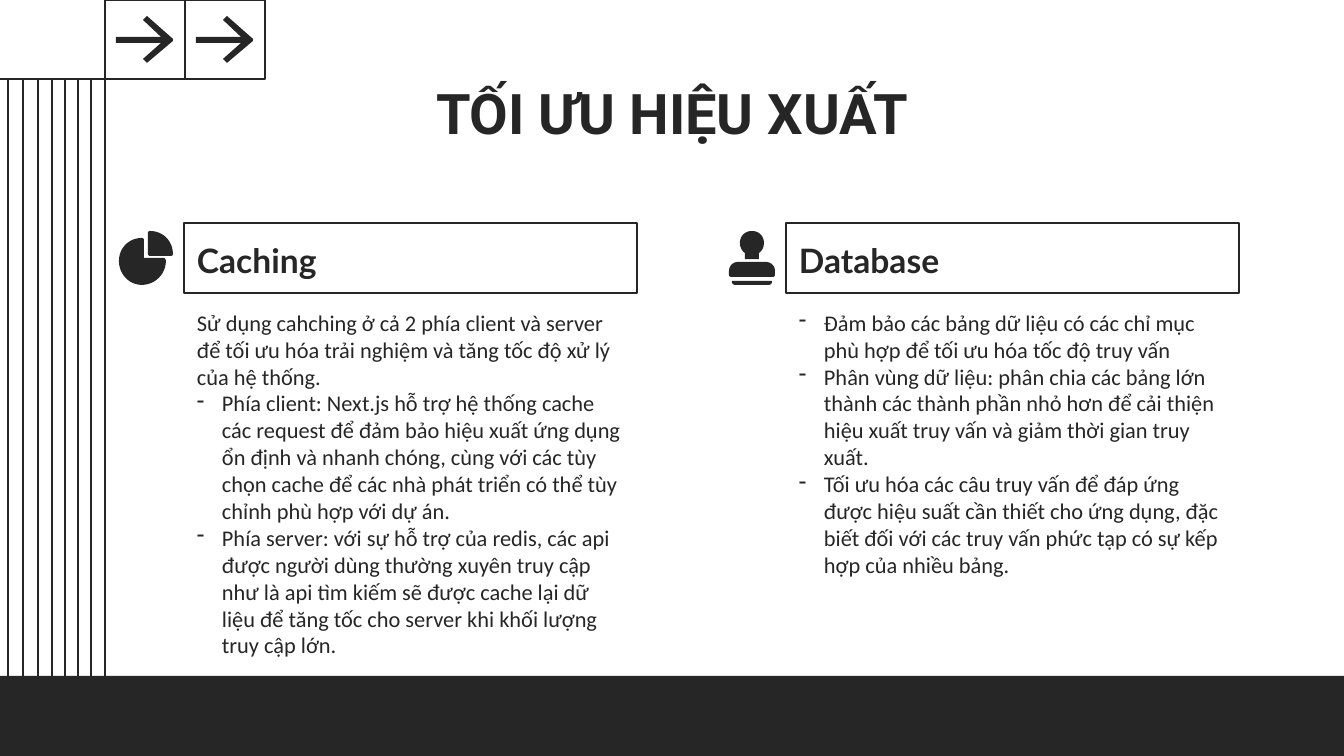
from dataclasses import dataclass

from lxml import etree
from pptx import Presentation
from pptx.dml.color import RGBColor
from pptx.enum.shapes import MSO_CONNECTOR, MSO_SHAPE
from pptx.enum.text import MSO_ANCHOR, PP_ALIGN
from pptx.oxml.ns import qn
from pptx.util import Pt

PX = 9144000 / 1344  # EMU in one px
RECT = MSO_SHAPE.RECTANGLE
STRAIGHT = MSO_CONNECTOR.STRAIGHT
LEFT, CENTER = PP_ALIGN.LEFT, PP_ALIGN.CENTER
TOP, BOTTOM = MSO_ANCHOR.TOP, MSO_ANCHOR.BOTTOM
INK = "262626"
WIDE, HIGH = 1344, 756
RULE_TOP, BAND_TOP = 79, 676
BOX = 80
PAD, INDENT = 13, 25


@dataclass
class Panel:
    left: int
    head: str
    intro: list[str]
    items: list[str]
    high: int
    icon: list[list[tuple]]


def emu(px: float) -> int:
    return round(px * PX)


def color(code: str) -> RGBColor:
    return RGBColor.from_string(code)


def add_text(shape, lines: list[str], *, size: int, font: str, bold=False,
             align=LEFT, anchor=TOP, plain=None) -> None:
    """Fill a shape; lines from index `plain` on get a dash."""
    frame = shape.text_frame
    frame.word_wrap = True
    frame.vertical_anchor = anchor
    frame.margin_left = frame.margin_right = emu(PAD)
    frame.margin_top = frame.margin_bottom = emu(PAD)
    for i, line in enumerate(lines):
        par = frame.paragraphs[0] if i == 0 else frame.add_paragraph()
        par.alignment = align
        if plain is not None and i >= plain:
            add_dash(par)
        run = par.add_run()
        run.text = line
        run.font.size = Pt(size)
        run.font.name = font
        run.font.bold = bold
        run.font.color.rgb = color(INK)


def add_dash(par) -> None:
    props = par._p.get_or_add_pPr()
    props.set("marL", str(emu(INDENT)))
    props.set("indent", str(-emu(INDENT)))
    tint = etree.SubElement(props, qn("a:buClr"))
    etree.SubElement(tint, qn("a:srgbClr")).set("val", INK)
    etree.SubElement(props, qn("a:buChar")).set("char", "-")


def add_rect(slide, x: int, y: int, w: int, h: int, fill: str | None = None):
    shape = slide.shapes.add_shape(RECT, emu(x), emu(y), emu(w), emu(h))
    shape.shadow.inherit = False
    if fill:
        shape.fill.solid()
        shape.fill.fore_color.rgb = color(fill)
        shape.line.fill.background()
    else:
        shape.fill.background()
        shape.line.color.rgb = color(INK)
        shape.line.width = Pt(0.75)
    return shape


def add_box(slide, x: int, y: int, w: int, h: int):
    return slide.shapes.add_textbox(emu(x), emu(y), emu(w), emu(h))


def add_rule(slide, x1: int, y1: int, x2: int, y2: int) -> None:
    rule = slide.shapes.add_connector(STRAIGHT, emu(x1), emu(y1), emu(x2), emu(y2))
    rule.line.color.rgb = color(INK)
    rule.line.width = Pt(0.75)
    etree.SubElement(rule._element.spPr, qn("a:effectLst"))


def bend(start: tuple, curve: tuple, steps: int = 12) -> list[tuple]:
    """Points along a cubic curve."""
    (ax, ay), (bx, by, cx, cy, dx, dy) = start, curve
    points = []
    for i in range(1, steps + 1):
        t = i / steps
        u = 1 - t
        a, b, c, d = u**3, 3 * u * u * t, 3 * u * t * t, t**3
        points.append((a * ax + b * bx + c * cx + d * dx,
                       a * ay + b * by + c * cy + d * dy))
    return points


def add_form(slide, path: list[tuple], shift: int = 0) -> None:
    """Draw a closed outline: pairs are corners, sixes are curves."""
    points = [path[0]]
    for part in path[1:]:
        points += [part] if len(part) == 2 else bend(points[-1], part)
    spots = [(emu(x + shift), emu(y)) for x, y in points]
    pen = slide.shapes.build_freeform(*spots[0], scale=1)
    pen.add_line_segments(spots[1:], close=True)
    form = pen.convert_to_shape()
    form.shadow.inherit = False
    form.fill.solid()
    form.fill.fore_color.rgb = color(INK)
    form.line.fill.background()


def add_panel(slide, panel: Panel) -> None:
    head = add_rect(slide, panel.left, 223, 453, 70)
    add_text(head, [panel.head], size=18, font="Lato", bold=True, anchor=BOTTOM)
    body = add_box(slide, panel.left, 296, 453, panel.high)
    add_text(body, panel.intro + panel.items, size=12, font="Calibri",
             plain=len(panel.intro))
    for path in panel.icon:
        add_form(slide, path)


ARROW = [(147, 16), (173, 39), (173, 41), (147, 63), (143, 59), (161, 43),
         (116, 43), (116, 37), (161, 37), (143, 20)]
PIE = [
    [(142, 238), (129, 238, 119, 248, 119, 261), (119, 274, 129, 285, 142, 285),
     (155, 285, 166, 274, 166, 261), (166, 260, 165, 258, 164, 258),
     (144, 258), (144, 240), (144, 239, 143, 238, 142, 238)],
    [(150, 231), (149, 231, 148, 232, 148, 233), (148, 254),
     (148, 255, 149, 256, 150, 256), (171, 256),
     (172, 256, 173, 255, 173, 254), (173, 241, 163, 231, 150, 231)],
]
STAMP = [
    [(738, 262), (733, 262, 729, 266, 729, 271), (729, 275),
     (729, 276, 730, 277, 731, 277), (773, 277),
     (774, 277, 775, 276, 775, 275), (775, 271), (775, 266, 771, 262, 766, 262)],
    [(732, 281), (732, 283), (733, 284, 734, 285, 735, 285), (769, 285),
     (770, 285, 771, 284, 772, 283), (772, 281)],
    [(752, 231), (745, 231, 740, 236, 740, 243), (740, 247, 742, 251, 745, 253),
     (745, 259), (759, 259), (759, 253), (762, 251, 764, 247, 764, 243),
     (764, 236, 759, 231, 752, 231)],
]
PANELS = [
    Panel(184, "Caching",
          ["Sử dụng cahching ở cả 2 phía client và server để tối ưu hóa trải nghiệm "
           "và tăng tốc độ xử lý của hệ thống."],
          ["Phía client: Next.js hỗ trợ hệ thống cache các request để đảm bảo hiệu "
           "xuất ứng dụng ổn định và nhanh chóng, cùng với các tùy chọn cache để các "
           "nhà phát triển có thể tùy chỉnh phù hợp với dự án.",
           "Phía server: với sự hỗ trợ của redis, các api được người dùng thường "
           "xuyên truy cập như là api tìm kiếm sẽ được cache lại dữ liệu để tăng tốc "
           "cho server khi khối lượng truy cập lớn."],
          376, PIE),
    Panel(786, "Database", [],
          ["Đảm bảo các bảng dữ liệu có các chỉ mục phù hợp để tối ưu hóa tốc độ "
           "truy vấn",
           "Phân vùng dữ liệu: phân chia các bảng lớn thành các thành phần nhỏ hơn "
           "để cải thiện hiệu xuất truy vấn và giảm thời gian truy xuất.",
           "Tối ưu hóa các câu truy vấn để đáp ứng được hiệu suất cần thiết cho ứng "
           "dụng, đặc biết đối với các truy vấn phức tạp có sự kếp hợp của nhiều "
           "bảng."],
          289, STAMP),
]


def main() -> None:
    deck = Presentation()
    deck.slide_width, deck.slide_height = emu(WIDE), emu(HIGH)
    slide = deck.slides.add_slide(deck.slide_layouts[6])

    # Bottom band and left rules
    add_rect(slide, 0, BAND_TOP, WIDE, HIGH - BAND_TOP, INK)
    for x in (8, 23, 38, 52, 65, 78, 91, 105):
        add_rule(slide, x, RULE_TOP, x, BAND_TOP)
    add_rule(slide, 0, RULE_TOP, 105, RULE_TOP)

    # Arrow boxes
    for shift in (0, BOX):
        add_rect(slide, 105 + shift, 0, BOX, RULE_TOP)
        add_form(slide, ARROW, shift)

    # Title and panels
    title = add_box(slide, 106, 66, 1133, 85)
    add_text(title, ["TỐI ƯU HIỆU XUẤT"], size=30, font="Roboto", bold=True,
             align=CENTER)
    for panel in PANELS:
        add_panel(slide, panel)
    deck.save("out.pptx")


if __name__ == "__main__":
    main()
